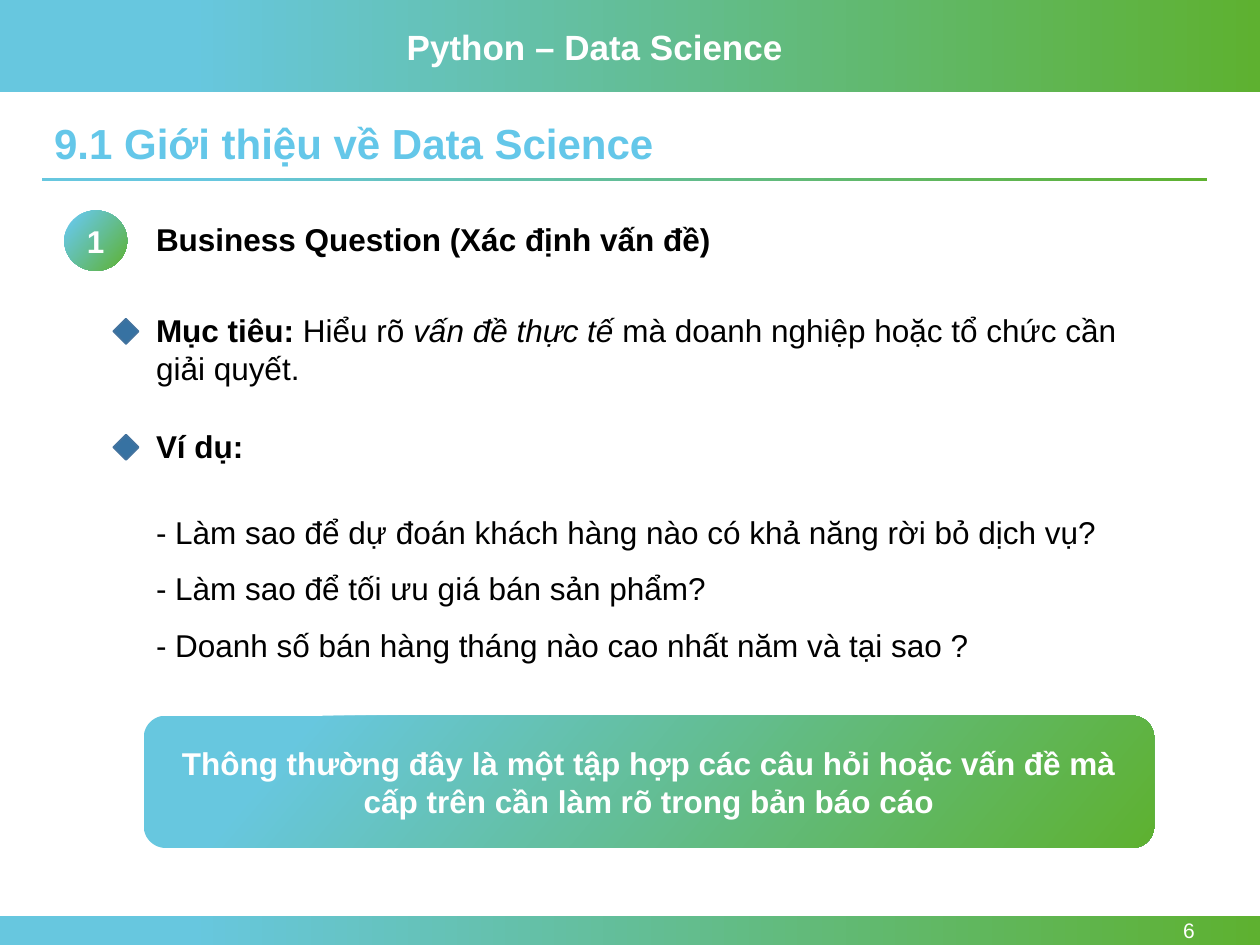
from pptx import Presentation
from pptx.dml.color import RGBColor
from pptx.enum.shapes import MSO_SHAPE
from pptx.enum.text import MSO_ANCHOR, MSO_AUTO_SIZE, PP_ALIGN
from pptx.util import Inches, Pt

SKY = RGBColor(0x67, 0xC7, 0xDF)
GREEN = RGBColor(0x5E, 0xB1, 0x30)
HEADING = RGBColor(0x64, 0xC7, 0xE9)
MARKER = RGBColor(0x37, 0x72, 0xA2)
MARKER_EDGE = RGBColor(0x43, 0x73, 0x9E)
WHITE = RGBColor(0xFF, 0xFF, 0xFF)
BLACK = RGBColor(0, 0, 0)

RECTANGLE = MSO_SHAPE.RECTANGLE
OVAL = MSO_SHAPE.OVAL
ROUNDED = MSO_SHAPE.ROUNDED_RECTANGLE
DIAMOND = MSO_SHAPE.DIAMOND
LEFT, CENTER, RIGHT = PP_ALIGN.LEFT, PP_ALIGN.CENTER, PP_ALIGN.RIGHT
TOP, MIDDLE = MSO_ANCHOR.TOP, MSO_ANCHOR.MIDDLE
GROW, FIXED = MSO_AUTO_SIZE.SHAPE_TO_FIT_TEXT, MSO_AUTO_SIZE.NONE

BODY = {"name": "Arial", "size": Pt(18), "bold": False, "italic": False}
STRONG = BODY | {"bold": True}
EMPHASIS = BODY | {"italic": True}

TEXT_LEFT = 1.14
TEXT_WIDTH = 8.17


def write(shape, paragraphs, color=BLACK, align=LEFT, anchor=TOP, spacing=None, fit=FIXED):
    frame = shape.text_frame
    frame.word_wrap = True
    frame.auto_size = fit
    frame.vertical_anchor = anchor
    for index, runs in enumerate(paragraphs):
        paragraph = frame.add_paragraph() if index else frame.paragraphs[0]
        paragraph.alignment = align
        paragraph.line_spacing = spacing
        for text, style in runs:
            run = paragraph.add_run()
            run.text = text
            run.font.color.rgb = color
            for key, value in style.items():
                setattr(run.font, key, value)


def add_text(slide, box, paragraphs, **layout):
    textbox = slide.shapes.add_textbox(*map(Inches, box))
    write(textbox, paragraphs, **layout)


def add_gradient(slide, kind, box, angle=0):
    panel = slide.shapes.add_shape(kind, *map(Inches, box))
    panel.shadow.inherit = False
    panel.line.fill.background()
    panel.fill.gradient()
    panel.fill.gradient_angle = angle
    for stop, position, color in zip(panel.fill.gradient_stops, (0.15, 1), (SKY, GREEN)):
        stop.position = position
        stop.color.rgb = color
    return panel


def add_marker(slide, top):
    marker = slide.shapes.add_shape(DIAMOND, *map(Inches, (0.9, top, 0.2, 0.2)))
    marker.shadow.inherit = False
    marker.fill.solid()
    marker.fill.fore_color.rgb = MARKER
    marker.line.color.rgb = MARKER_EDGE
    marker.line.width = Pt(1)


def set_title(slide, box, text):
    title = slide.shapes.title
    title.left, title.top, title.width, title.height = map(Inches, box)
    write(title, [[(text, STRONG | {"size": Pt(24)})]],
          color=HEADING, anchor=MIDDLE, spacing=0.9)


def main():
    deck = Presentation()
    deck.slide_width, deck.slide_height = Inches(10), Inches(7.5)
    slide = deck.slides.add_slide(deck.slide_layouts[5])

    for band in ((0, 0, 10, 0.73), (0, 7.27, 10, 0.23), (0.33, 1.41, 9.25, 0.03)):
        add_gradient(slide, RECTANGLE, band)
    add_text(slide, (3.13, 0.15, 4, 0.44),
             [[("Python – Data Science", STRONG | {"size": Pt(20)})]], color=WHITE, fit=GROW)
    add_text(slide, (8.66, 7.27, 0.92, 0.23), [[("6", BODY | {"size": Pt(12)})]],
             color=WHITE, align=RIGHT, anchor=MIDDLE)
    set_title(slide, (0.33, 0.93, 9.25, 0.46), "9.1 Giới thiệu về Data Science")

    step = add_gradient(slide, OVAL, (0.51, 1.67, 0.5, 0.48), angle=320)
    write(step, [[("1", STRONG)]], color=WHITE, align=CENTER, anchor=MIDDLE)
    add_text(slide, (TEXT_LEFT, 1.7, 7.03, 0.4),
             [[("Business Question (Xác định vấn đề)", STRONG)]], fit=GROW)

    goal = [
        ("Mục tiêu: ", STRONG),
        ("Hiểu rõ ", BODY),
        ("vấn đề thực tế", EMPHASIS),
        (" mà doanh nghiệp hoặc tổ chức cần giải quyết.", BODY),
    ]
    for top, height, runs in ((2.42, 0.71, goal), (3.34, 0.4, [("Ví dụ:", STRONG)])):
        add_text(slide, (TEXT_LEFT, top, TEXT_WIDTH, height), [runs], fit=GROW)
        add_marker(slide, top + 0.11)

    questions = (
        "- Làm sao để dự đoán khách hàng nào có khả năng rời bỏ dịch vụ?",
        "- Làm sao để tối ưu giá bán sản phẩm?",
        "- Doanh số bán hàng tháng nào cao nhất năm và tại sao ?",
    )
    add_text(slide, (TEXT_LEFT, 3.87, TEXT_WIDTH, 1.46),
             [[(question, BODY)] for question in questions], spacing=1.5, fit=GROW)

    summary = add_gradient(slide, ROUNDED, (TEXT_LEFT, 5.68, 8.02, 1.05), angle=320)
    write(summary, [[("Thông thường đây là một tập hợp các câu hỏi hoặc vấn đề mà "
                      "cấp trên cần làm rõ trong bản báo cáo", STRONG)]],
          color=WHITE, align=CENTER, anchor=MIDDLE)

    deck.save("out.pptx")


if __name__ == "__main__":
    main()
